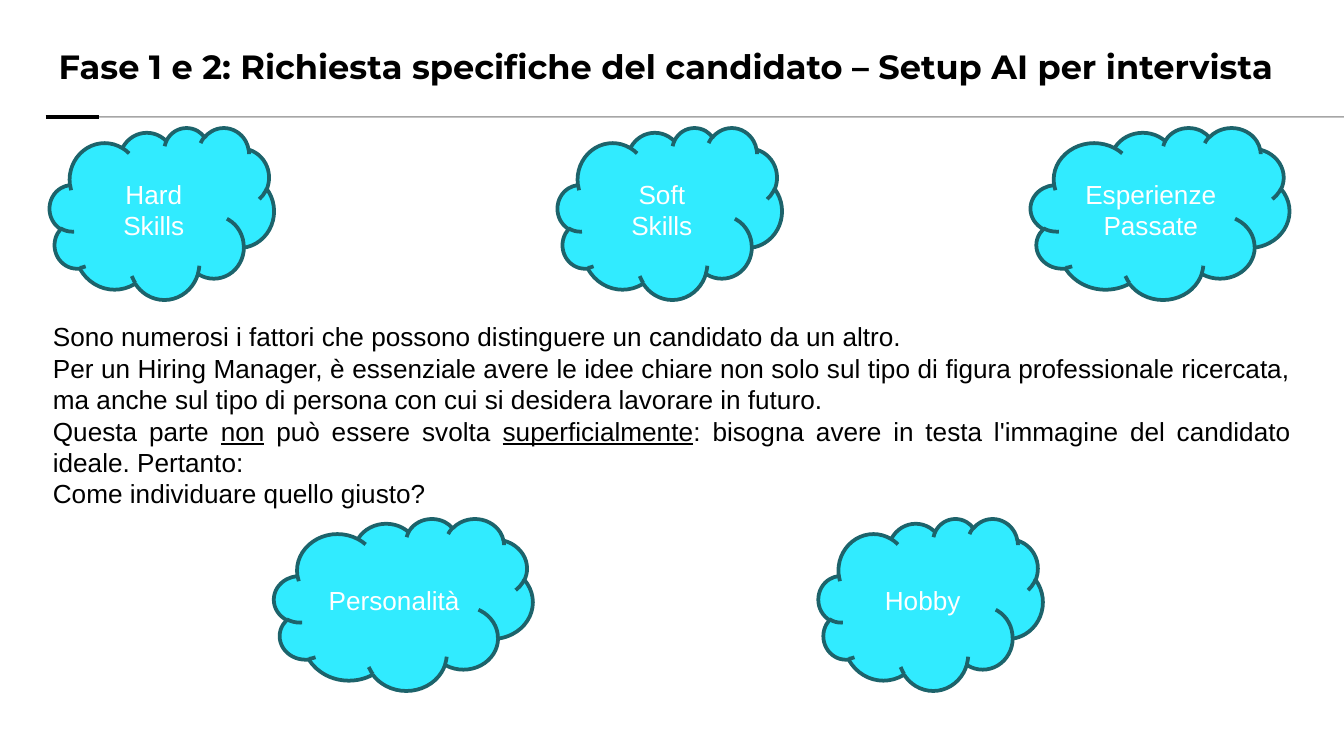
"""Builds the slide on the candidate's profile and the AI interview setup."""
from lxml.etree import SubElement
from pptx import Presentation
from pptx.dml.color import RGBColor
from pptx.enum.shapes import MSO_CONNECTOR, MSO_SHAPE
from pptx.enum.text import MSO_ANCHOR, MSO_AUTO_SIZE, PP_ALIGN
from pptx.oxml.ns import qn
from pptx.util import Cm, Pt

BLACK = RGBColor(0x00, 0x00, 0x00)
WHITE = RGBColor(0xFF, 0xFF, 0xFF)
CYAN = RGBColor(0x31, 0xEB, 0xFF)
TEAL = RGBColor(0x1D, 0x63, 0x6B)

TITLE = "Fase 1 e 2: Richiesta specifiche del candidato – Setup AI per intervista"
BODY = [
    [("Sono numerosi i fattori che possono distinguere un candidato da un altro.", False)],
    [("Per un Hiring Manager, è essenziale avere le idee chiare non solo sul tipo di figura "
      "professionale ricercata, ma anche sul tipo di persona con cui si desidera lavorare "
      "in futuro.", False)],
    [("Questa parte ", False), ("non", True), (" può essere svolta ", False),
     ("superficialmente", True),
     (": bisogna avere in testa l'immagine del candidato ideale. Pertanto:", False)],
    [("Come individuare quello giusto?", False)],
]
NARROW, WIDE, CLOUD_HEIGHT = 4.24, 4.89, 3.25
CLOUD_ROWS = [
    (2.41, [(0.94, NARROW, ["Hard", "Skills"]),
            (10.54, NARROW, ["Soft", "Skills"]),
            (19.48, WIDE, ["Esperienze", "Passate"])]),
    (9.8, [(5.18, WIDE, ["Personalità"]),
           (15.47, NARROW, ["Hobby"])]),
]
RULE_TOP = 2.21
RULES = [(0.97, 25.5, 0.75, 35), (0.86, 1.88, 1.75, 100)]

TITLE_FONT = {"name": "Montserrat", "size": Pt(18), "bold": True}
TEXT_FONT = {"name": "Arial", "size": Pt(14)}
TITLE_BOX = {"left": Cm(0.86), "top": Cm(0.64), "width": Cm(23.7), "height": Cm(1.22)}
TITLE_FRAME = {"word_wrap": True, "auto_size": MSO_AUTO_SIZE.NONE,
               "vertical_anchor": MSO_ANCHOR.MIDDLE,
               **{f"margin_{side}": Cm(0.25) for side in ("left", "top", "right", "bottom")}}


def apply(target, values):
    for name, value in values.items():
        setattr(target, name, value)


def write(frame, paragraphs, font, color, alignment):
    for index, spans in enumerate(paragraphs):
        para = frame.add_paragraph() if index else frame.paragraphs[0]
        para.alignment = alignment
        for text, underline in spans:
            span = para.add_run()
            span.text = text
            apply(span.font, font)
            span.font.color.rgb = color
            if underline:
                span.font.underline = True


def add_rule(page, start, end, weight, opacity):
    rule = page.shapes.add_connector(
        MSO_CONNECTOR.STRAIGHT, Cm(start), Cm(RULE_TOP), Cm(end), Cm(RULE_TOP))
    rule.line.color.rgb = BLACK
    rule.line.width = Pt(weight)
    properties = rule.element.spPr
    if opacity < 100:
        color = properties.find(".//" + qn("a:srgbClr"))
        SubElement(color, qn("a:alpha"), val=str(opacity * 1000))
    SubElement(properties, qn("a:effectLst"))


def add_cloud(page, left, top, width, lines):
    cloud = page.shapes.add_shape(
        MSO_SHAPE.CLOUD, Cm(left), Cm(top), Cm(width), Cm(CLOUD_HEIGHT))
    cloud.shadow.inherit = False
    cloud.fill.solid()
    cloud.fill.fore_color.rgb = CYAN
    cloud.line.color.rgb = TEAL
    cloud.line.width = Pt(2)
    frame = cloud.text_frame
    apply(frame, {"word_wrap": True, "vertical_anchor": MSO_ANCHOR.MIDDLE})
    write(frame, [[(line, False)] for line in lines], TEXT_FONT, WHITE, PP_ALIGN.CENTER)


def main():
    deck = Presentation()
    apply(deck, {"slide_width": Cm(25.4), "slide_height": Cm(14.29)})
    page = deck.slides.add_slide(deck.slide_layouts[5])

    for rule in RULES:
        add_rule(page, *rule)

    title = page.shapes.title
    apply(title, TITLE_BOX)
    apply(title.text_frame, TITLE_FRAME)
    write(title.text_frame, [[(TITLE, False)]], TITLE_FONT, BLACK, PP_ALIGN.LEFT)

    box = page.shapes.add_textbox(Cm(0.75), Cm(5.94), Cm(23.9), Cm(5.05))
    box.text_frame.word_wrap = True
    write(box.text_frame, BODY, TEXT_FONT, BLACK, PP_ALIGN.JUSTIFY)

    for top, clouds in CLOUD_ROWS:
        for left, width, lines in clouds:
            add_cloud(page, left, top, width, lines)

    deck.save("out.pptx")


if __name__ == "__main__":
    main()
